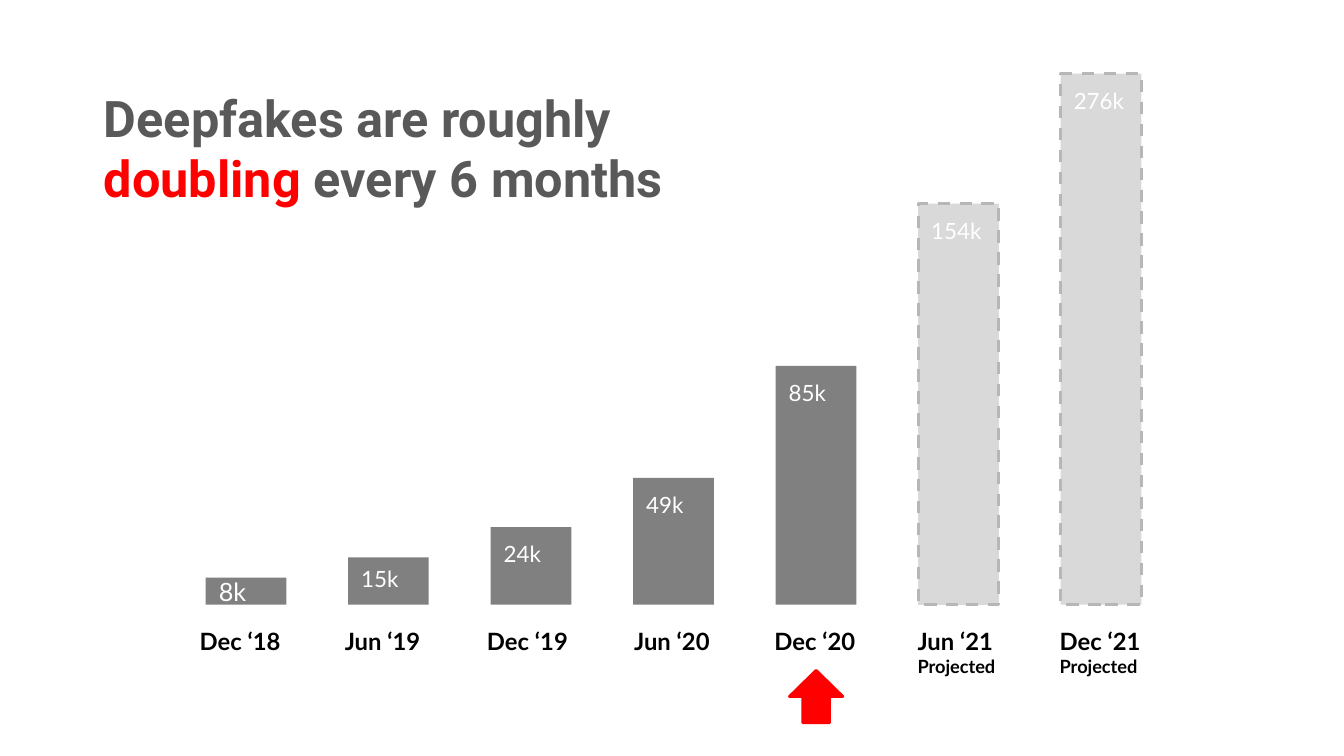
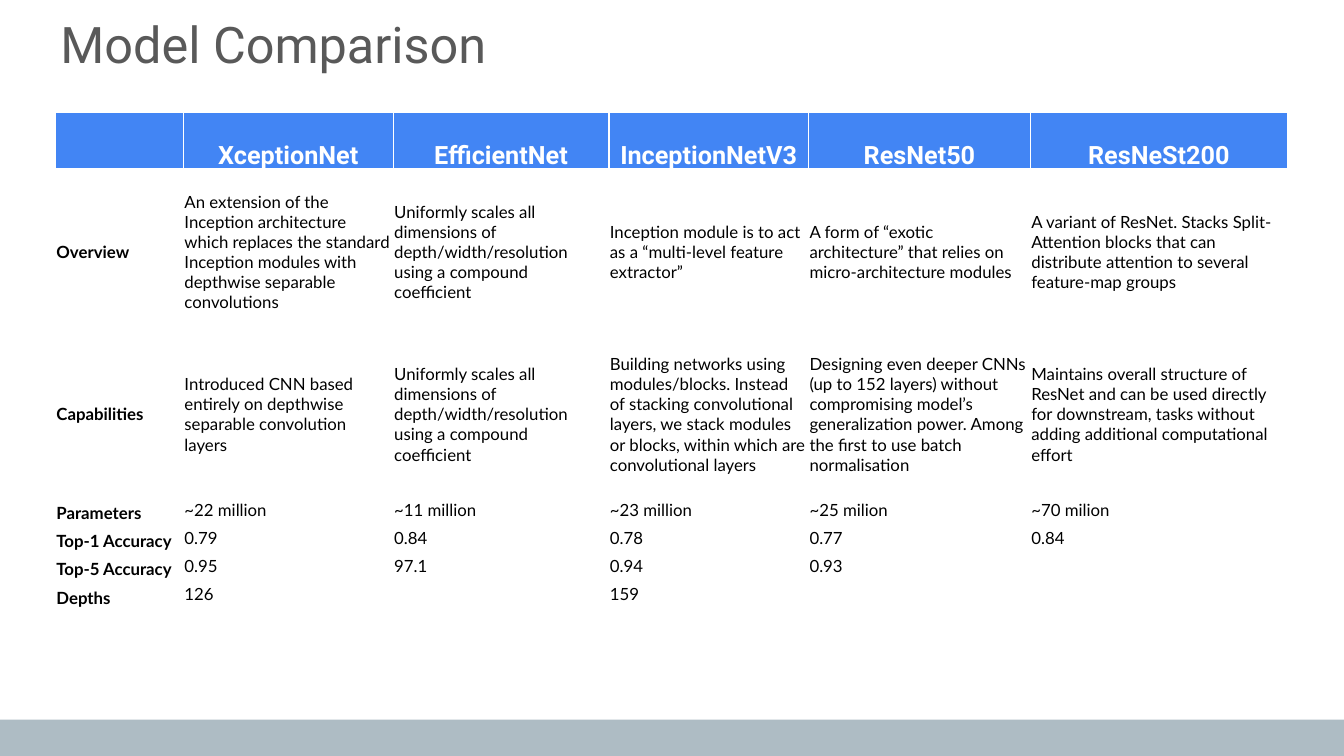
from dataclasses import dataclass

from lxml import etree
from pptx import Presentation
from pptx.dml.color import RGBColor
from pptx.enum.dml import MSO_LINE
from pptx.enum.shapes import MSO_SHAPE
from pptx.enum.text import MSO_ANCHOR, MSO_AUTO_SIZE, PP_ALIGN
from pptx.oxml.ns import qn
from pptx.util import Inches, Pt

TOP, MIDDLE, BOTTOM = MSO_ANCHOR.TOP, MSO_ANCHOR.MIDDLE, MSO_ANCHOR.BOTTOM
LEFT, CENTER = PP_ALIGN.LEFT, PP_ALIGN.CENTER
RECT, UP_ARROW = MSO_SHAPE.RECTANGLE, MSO_SHAPE.UP_ARROW
DASH = MSO_LINE.DASH
TITLE_ONLY = 5


@dataclass(frozen=True)
class Theme:
    heading_font: str = "Roboto"
    body_font: str = "Lato"
    heading: str = "595959"
    accent: str = "FF0000"
    bar: str = "808080"
    projected: str = "D9D9D9"
    projected_line: str = "B7B7B7"
    header: str = "4285F4"
    band: str = "AEBCC4"
    black: str = "000000"
    white: str = "FFFFFF"
    title_size: int = 36
    header_size: int = 18
    label_size: int = 17
    value_size: int = 16
    note_size: int = 13
    cell_size: int = 12
    inset: float = 0.13


T = Theme()


def write(tf, runs, anchor=TOP, align=LEFT, inset=T.inset):
    """Fill a text frame; each run is (text, font, size, colour, bold)."""
    tf.word_wrap = True
    tf.auto_size = MSO_AUTO_SIZE.NONE
    tf.vertical_anchor = anchor
    tf.margin_left = tf.margin_right = Inches(inset)
    tf.margin_top = tf.margin_bottom = Inches(inset)
    p = tf.paragraphs[0]
    p.alignment = align
    for text, font, size, color, bold in runs:
        if text == "\n":
            p.add_line_break()
            continue
        r = p.add_run()
        r.text = text
        r.font.name, r.font.size, r.font.bold = font, Pt(size), bold
        r.font.color.rgb = RGBColor.from_string(color)


def add_box(s, kind, x, y, w, h, fill, line=None):
    sp = s.shapes.add_shape(kind, Inches(x), Inches(y), Inches(w), Inches(h))
    sp.shadow.inherit = False
    sp.fill.solid()
    sp.fill.fore_color.rgb = RGBColor.from_string(fill)
    if line:
        sp.line.color.rgb = RGBColor.from_string(line)
    else:
        sp.line.fill.background()
    return sp


prs = Presentation()
prs.slide_width, prs.slide_height = Inches(13.33), Inches(7.5)

# Both slides: title
TITLES = [
    (0.9, 0.73, True, [("Deepfakes are roughly", T.heading), ("\n", T.heading),
                       ("doubling ", T.accent), ("every 6 months", T.heading)]),
    (0.47, 0, False, [("Model Comparison", T.heading)]),
]
for x, y, bold, parts in TITLES:
    s = prs.slides.add_slide(prs.slide_layouts[TITLE_ONLY])
    title = s.shapes.title
    title.left, title.top = Inches(x), Inches(y)
    title.width, title.height = Inches(12.42), Inches(0.84)
    write(title.text_frame,
          [(text, T.heading_font, T.title_size, color, bold) for text, color in parts])
growth, comparison = prs.slides

# Slide 1: bars (value, height, date, label left, projected)
BARS = [
    ("8k", 0.27, "Dec ‘18", 1.85, False),
    ("15k", 0.47, "Jun ‘19", 3.29, False),
    ("24k", 0.77, "Dec ‘19", 4.7, False),
    ("49k", 1.26, "Jun ‘20", 6.16, False),
    ("85k", 2.37, "Dec ‘20", 7.55, False),
    ("154k", 3.98, "Jun ‘21", 8.97, True),
    ("276k", 5.27, "Dec ‘21", 10.38, True),
]
BAR_LEFT, BAR_STEP, BAR_WIDTH, BASELINE = 2.04, 8.48 / 6, 0.8, 6.0
SHORT_BARS = {"8k": (MIDDLE, 18), "15k": (BOTTOM, T.value_size)}

for i, (value, height, date, label_left, projected) in enumerate(BARS):
    bar = add_box(growth, RECT, BAR_LEFT + i * BAR_STEP, BASELINE - height, BAR_WIDTH, height,
                  T.projected if projected else T.bar,
                  T.projected_line if projected else None)
    if projected:
        bar.line.width, bar.line.dash_style = Pt(2.25), DASH
    anchor, size = SHORT_BARS.get(value, (TOP, T.value_size))
    write(bar.text_frame, [(value, T.body_font, size, T.white, False)], anchor)

    label = growth.shapes.add_textbox(Inches(label_left), Inches(6.09), Inches(1.12),
                                      Inches(0.77 if projected else 0.56))
    runs = [(date, T.body_font, T.label_size, T.black, True)]
    if projected:
        runs.append((" Projected", T.body_font, T.note_size, T.black, True))
    write(label.text_frame, runs)

arrow = add_box(growth, UP_ARROW, 7.83, 6.65, 0.53, 0.52, T.accent, T.accent)
arrow.line.width = Pt(2)

# Slide 2: table and bottom band
SCALING = "Uniformly scales all dimensions of depth/width/resolution using a compound coefficient"
ROWS = [
    ["", "XceptionNet", "EfficientNet", "InceptionNetV3", "ResNet50", "ResNeSt200"],
    ["Overview",
     "An extension of the Inception architecture which replaces the standard Inception "
     "modules with depthwise separable convolutions",
     SCALING,
     "Inception module is to act as a “multi-level feature extractor”",
     "A form of “exotic architecture” that relies on micro-architecture modules",
     "A variant of ResNet. Stacks Split-Attention blocks that can distribute attention "
     "to several feature-map groups"],
    ["Capabilities",
     "Introduced CNN based entirely on depthwise separable convolution layers",
     SCALING,
     "Building networks using modules/blocks. Instead of stacking convolutional layers, "
     "we stack modules or blocks, within which are convolutional layers",
     "Designing even deeper CNNs (up to 152 layers) without compromising model’s "
     "generalization power. Among the first to use batch normalisation",
     "Maintains overall structure of ResNet and can be used directly for downstream, "
     "tasks without adding additional computational effort"],
    ["Parameters", "~22 million", "~11 million", "~23 million", "~25 milion", "~70 milion"],
    ["Top-1 Accuracy", "0.79", "0.84", "0.78", "0.77", "0.84"],
    ["Top-5 Accuracy", "0.95", "97.1", "0.94", "0.93", ""],
    ["Depths", "126", "", "159", "", ""],
]
COLUMN_WIDTHS = [1.27, 2.08, 2.14, 1.98, 2.2, 2.55]
ROW_HEIGHTS = [0.57, 1.61, 1.61] + [0.28] * 4

table = comparison.shapes.add_table(
    len(ROWS), len(COLUMN_WIDTHS), Inches(0.55), Inches(1.12),
    Inches(sum(COLUMN_WIDTHS)), Inches(sum(ROW_HEIGHTS))).table
table.first_row = table.horz_banding = False
for column, width in zip(table.columns, COLUMN_WIDTHS):
    column.width = Inches(width)
for row, height in zip(table.rows, ROW_HEIGHTS):
    row.height = Inches(height)

for i, texts in enumerate(ROWS):
    for j, text in enumerate(texts):
        cell = table.cell(i, j)
        is_header = i == 0
        cell.margin_left = cell.margin_right = cell.margin_top = Inches(0.01)
        cell.margin_bottom = 0
        cell.vertical_anchor = BOTTOM if is_header or (j == 0 and i > 2) else MIDDLE

        tc_pr = cell._tc.get_or_add_tcPr()
        for side in ("lnL", "lnR", "lnT", "lnB"):
            points = 3 if is_header and side == "lnB" else 1
            ln = etree.SubElement(tc_pr, qn(f"a:{side}"), w=str(Pt(points)))
            fill = etree.SubElement(ln, qn("a:solidFill"))
            etree.SubElement(fill, qn("a:srgbClr"), val=T.white)
        cell.fill.solid()
        cell.fill.fore_color.rgb = RGBColor.from_string(T.header if is_header else T.white)

        p = cell.text_frame.paragraphs[0]
        p.alignment = CENTER if is_header else LEFT
        if not text:
            etree.SubElement(p._p, qn("a:endParaRPr"), sz=str(T.cell_size * 100))
            continue
        r = p.add_run()
        r.text = text
        r.font.name = T.heading_font if is_header else T.body_font
        r.font.size = Pt(T.header_size if is_header else T.cell_size)
        r.font.bold = is_header or j == 0
        r.font.color.rgb = RGBColor.from_string(T.white if is_header else T.black)

add_box(comparison, RECT, 0, 7.14, 13.33, 0.36, T.band)

prs.save("out.pptx")
